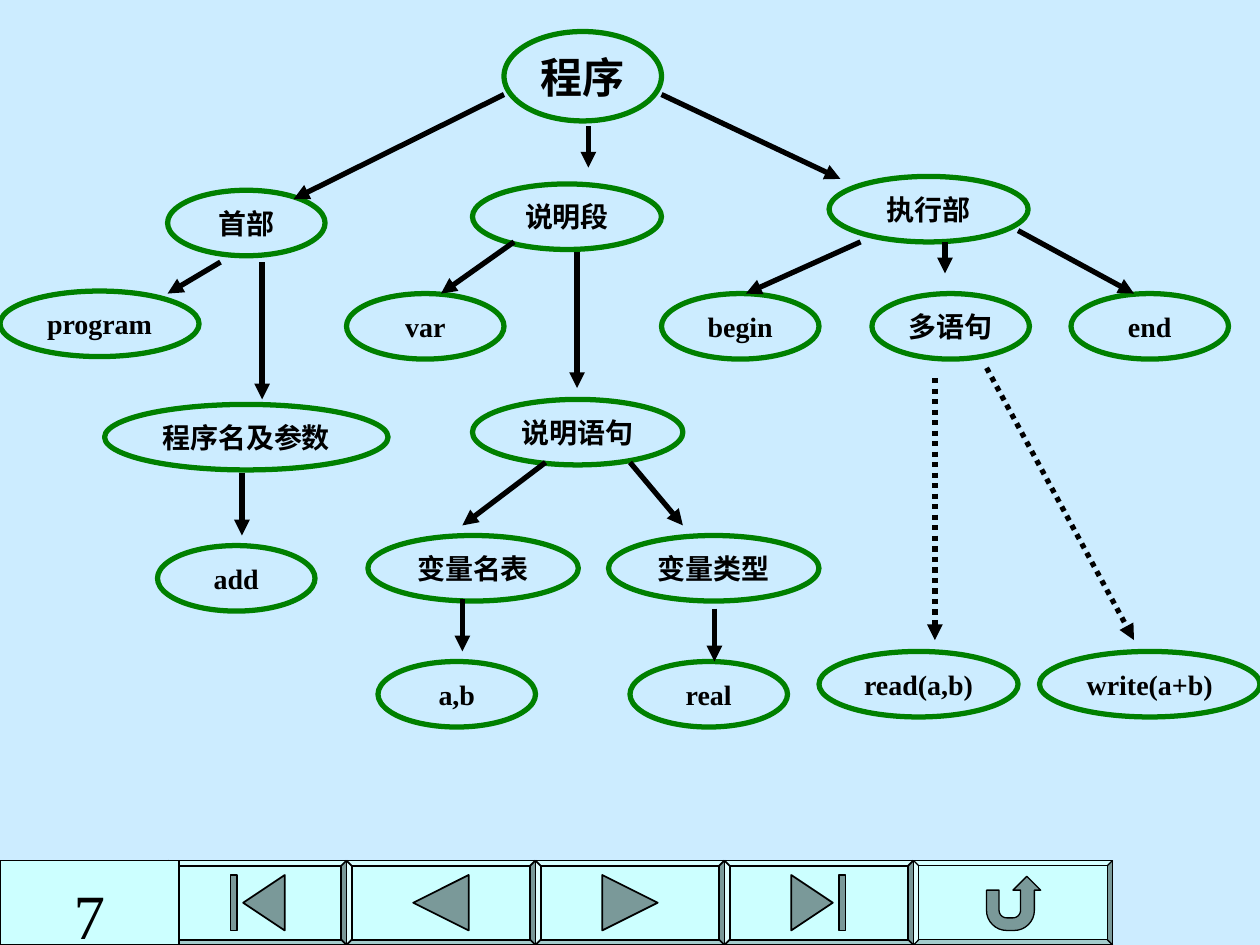
"""Build the syntax tree of a small program above a row of navigation buttons."""
from dataclasses import dataclass
from math import cos, radians, sin
from typing import Any

from lxml.etree import SubElement
from pptx import Presentation
from pptx.dml.color import RGBColor
from pptx.enum.dml import MSO_LINE_DASH_STYLE as Dash
from pptx.enum.shapes import MSO_CONNECTOR_TYPE as Connector, MSO_SHAPE as Shape
from pptx.enum.text import MSO_ANCHOR as Anchor, PP_ALIGN as Align
from pptx.oxml.ns import qn
from pptx.util import Inches, Pt

Point = tuple[float, float]

SKY, ICE, TEAL, GREEN, BLACK = "CCECFF", "CCFFFF", "7A9999", "008000", "000000"
FONT = "Times New Roman"
BAR_TOP, BAR_HEIGHT, BEVEL = 6.83, 0.67, 0.0625


@dataclass
class Node:
    text: str
    left: float
    top: float
    width: float = 1.25
    height: float = 0.52
    size: float = 16


@dataclass
class Arrow:
    start: Point
    end: Point
    dotted: bool = False


@dataclass
class Button:
    left: float
    width: float
    outlines: list[list[Point]]
    line: float = 1


def arc(x: float, y: float, radius: float, first: int, last: int) -> list[Point]:
    """Return points along a circular arc, with angles in degrees."""
    angles = [radians(first + (last - first) * step / 8) for step in range(9)]
    return [(x + radius * cos(angle), y + radius * sin(angle)) for angle in angles]


def mirror(outlines: list[list[Point]]) -> list[list[Point]]:
    """Flip icon outlines from left to right."""
    return [[(-x, y) for x, y in outline] for outline in outlines]


BACK = [[(-0.22, 0), (0.22, -0.22), (0.22, 0.22)]]
FIRST = [
    [(-0.11, 0), (0.22, -0.22), (0.22, 0.22)],
    [(-0.21, -0.22), (-0.16, -0.22), (-0.16, 0.22), (-0.21, 0.22)],
]
RETURN = [[
    (-0.21, -0.1), (-0.11, -0.1),
    *arc(-0.05, 0.06, 0.06, 180, 90), *arc(0, 0.06, 0.06, 90, 0),
    (0.06, -0.1), (0, -0.1), (0.11, -0.21), (0.22, -0.1), (0.17, -0.1),
    *arc(0.01, 0.06, 0.16, 0, 90), *arc(-0.05, 0.06, 0.16, 90, 180),
]]

BUTTONS = [
    Button(2.75, 1.5, BACK),
    Button(4.25, 1.5, mirror(BACK)),
    Button(1.33, 1.42, FIRST),
    Button(5.75, 1.5, mirror(FIRST)),
    Button(7.25, 1.58, RETURN, 0.75),
]

NODES = [
    Node("程序", 4, 0.25, height=0.71, size=24),
    Node("首部", 1.33, 1.51),
    Node("说明段", 3.75, 1.46, 1.5),
    Node("执行部", 6.58, 1.4, 1.58),
    Node("program", 0, 2.31, 1.58),
    Node("var", 2.75, 2.33),
    Node("begin", 5.25, 2.33),
    Node("多语句", 6.92, 2.33),
    Node("end", 8.5, 2.33),
    Node("程序名及参数", 0.83, 3.21, 2.25),
    Node("说明语句", 3.75, 3.17, 1.67),
    Node("add", 1.25, 4.33),
    Node("变量名表", 2.92, 4.25, 1.67),
    Node("变量类型", 4.83, 4.25, 1.67),
    Node("a,b", 3, 5.25),
    Node("real", 5, 5.25),
    Node("read(a,b)", 6.5, 5.17, 1.58),
    Node("write(a+b)", 8.25, 5.17, 1.75),
]

ARROWS = [
    Arrow((4, 0.75), (2.33, 1.58)),
    Arrow((4.67, 1), (4.67, 1.33)),
    Arrow((5.25, 0.75), (6.67, 1.42)),
    Arrow((1.75, 2.08), (1.33, 2.33)),
    Arrow((2.08, 2.08), (2.08, 3.17)),
    Arrow((4.08, 1.92), (3.5, 2.33)),
    Arrow((4.58, 2), (4.58, 3.08)),
    Arrow((6.83, 1.92), (5.92, 2.33)),
    Arrow((7.5, 1.92), (7.5, 2.17)),
    Arrow((8.08, 1.83), (9, 2.33)),
    Arrow((1.92, 3.75), (1.92, 4.25)),
    Arrow((4.33, 3.67), (3.67, 4.17)),
    Arrow((5, 3.67), (5.42, 4.17)),
    Arrow((3.67, 4.75), (3.67, 5.17)),
    Arrow((5.67, 4.83), (5.67, 5.25)),
    Arrow((7.42, 3), (7.42, 5.08), True),
    Arrow((7.83, 2.92), (9, 5.08), True),
]


def color(value: str) -> RGBColor:
    """Turn a hex string into a colour."""
    return RGBColor.from_string(value)


def assign(target: Any, values: dict[str, Any]) -> None:
    """Set several attributes of one object."""
    for name, value in values.items():
        setattr(target, name, value)


def paint(shape: Any, fill: str | None, line: str, width: float) -> None:
    """Give a shape its fill and outline, without a shadow."""
    shape.shadow.inherit = False
    if fill:
        shape.fill.solid()
        shape.fill.fore_color.rgb = color(fill)
    else:
        shape.fill.background()
    shape.line.color.rgb = color(line)
    shape.line.width = Pt(width)


def write(shape: Any, text: str, size: float, bold: bool, frame: dict[str, Any]) -> None:
    """Write one centred line of text in a shape."""
    box = shape.text_frame
    assign(box, frame)
    para = box.paragraphs[0]
    para.alignment = Align.CENTER
    span = para.add_run()
    span.text = text
    assign(span.font, {"name": FONT, "size": Pt(size), "bold": bold})
    span.font.color.rgb = color(BLACK)


def add_shape(page: Any, kind: Shape, left: float, top: float, width: float, height: float) -> Any:
    """Add a preset shape measured in inches."""
    return page.shapes.add_shape(kind, Inches(left), Inches(top), Inches(width), Inches(height))


def draw_button(page: Any, button: Button) -> None:
    """Draw a bevelled button with its icon."""
    plate = add_shape(page, Shape.BEVEL, button.left, BAR_TOP, button.width, BAR_HEIGHT)
    plate.adjustments[0] = BEVEL
    paint(plate, ICE, BLACK, button.line)
    middle_x, middle_y = button.left + button.width / 2, BAR_TOP + BAR_HEIGHT / 2
    for outline in button.outlines:
        points = [(Inches(middle_x + x), Inches(middle_y + y)) for x, y in outline]
        builder = page.shapes.build_freeform(*points[0])
        builder.add_line_segments(points[1:], close=True)
        paint(builder.convert_to_shape(), TEAL, BLACK, button.line)


def draw_node(page: Any, node: Node) -> None:
    """Draw one ellipse of the tree."""
    oval = add_shape(page, Shape.OVAL, node.left, node.top, node.width, node.height)
    paint(oval, None, GREEN, 3)
    write(oval, node.text, node.size, True, {"word_wrap": False, "vertical_anchor": Anchor.MIDDLE})


def draw_arrow(page: Any, arrow: Arrow) -> None:
    """Draw a straight arrow of the tree."""
    ends = [Inches(value) for value in (*arrow.start, *arrow.end)]
    link = page.shapes.add_connector(Connector.STRAIGHT, *ends)
    link.line.color.rgb = color(BLACK)
    link.line.width = Pt(3)
    if arrow.dotted:
        link.line.dash_style = Dash.ROUND_DOT
    properties = link.line._get_or_add_ln()
    SubElement(properties, qn("a:tailEnd"), type="triangle")
    SubElement(properties.getparent(), qn("a:effectLst"))


def main() -> None:
    """Build and save the deck."""
    deck = Presentation()
    assign(deck, {"slide_width": Inches(10), "slide_height": Inches(7.5)})
    page = deck.slides.add_slide(deck.slide_layouts[6])
    page.background.fill.solid()
    page.background.fill.fore_color.rgb = color(SKY)
    for button in BUTTONS:
        draw_button(page, button)
    for node in NODES:
        draw_node(page, node)
    for arrow in ARROWS:
        draw_arrow(page, arrow)
    counter = add_shape(page, Shape.RECTANGLE, 0, BAR_TOP, 1.42, BAR_HEIGHT)
    paint(counter, ICE, BLACK, 1)
    write(counter, "7", 36, False, {"vertical_anchor": Anchor.TOP, "margin_top": Inches(0.13)})
    deck.save("out.pptx")


if __name__ == "__main__":
    main()
